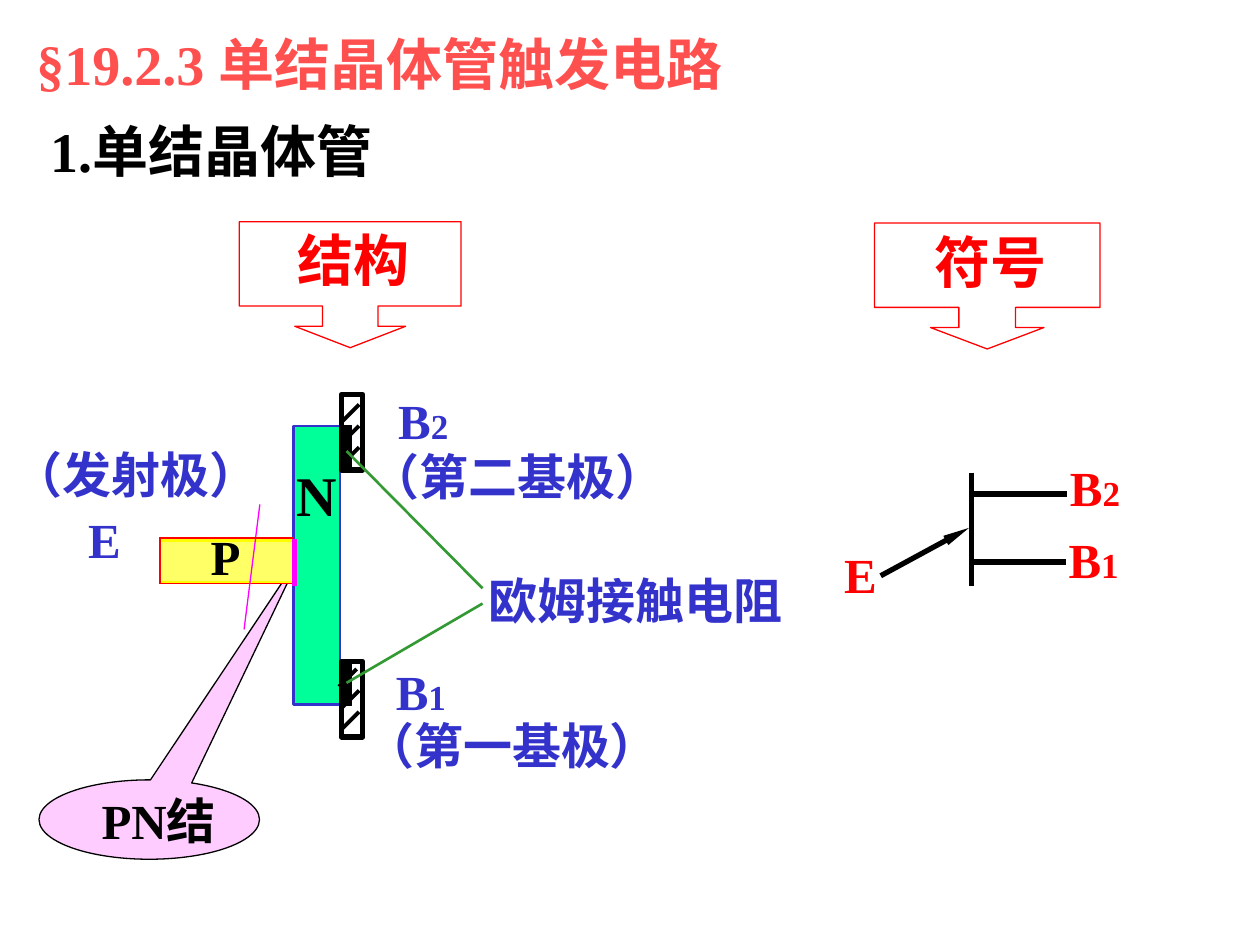
from typing import NamedTuple, Optional

from lxml import etree
from pptx import Presentation
from pptx.dml.color import RGBColor
from pptx.enum import shapes as sh, text as tx
from pptx.oxml import ns
from pptx.util import Inches, Pt

BLACK = RGBColor(0x00, 0x00, 0x00)
WHITE = RGBColor(0xFF, 0xFF, 0xFF)
RED = RGBColor(0xFF, 0x00, 0x00)
CORAL = RGBColor(0xFF, 0x50, 0x50)
BLUE = RGBColor(0x33, 0x33, 0xCC)
GREEN = RGBColor(0x33, 0x99, 0x33)
MINT = RGBColor(0x00, 0xFF, 0x99)
LEMON = RGBColor(0xFF, 0xFF, 0x66)
YELLOW = RGBColor(0xFF, 0xFF, 0x00)
PINK = RGBColor(0xFF, 0xCC, 0xFF)
MAGENTA = RGBColor(0xFF, 0x00, 0xFF)
FONT = "Times New Roman"
KIND = sh.MSO_SHAPE


class Label(NamedTuple):
    text: str
    x: float
    y: float
    w: float
    ink: RGBColor
    size: int = 28
    sub: str = ""
    left: bool = False


class Block(NamedTuple):
    x: float
    y: float
    w: float
    h: float
    fill: RGBColor
    ink: RGBColor
    width: float = 0.75
    kind: sh.MSO_SHAPE = KIND.RECTANGLE
    adj: tuple = ()


class Wire(NamedTuple):
    x1: float
    y1: float
    x2: float
    y2: float
    ink: RGBColor
    width: float
    arrow: bool = False


def paint(shape, fill: RGBColor, ink: RGBColor, width: float) -> None:
    shape.shadow.inherit = False
    shape.fill.solid()
    shape.fill.fore_color.rgb = fill
    shape.line.color.rgb = ink
    shape.line.width = Pt(width)


def write(slide, item: Label) -> None:
    high = 0.64 if item.size == 32 else 0.57
    box = slide.shapes.add_textbox(Inches(item.x), Inches(item.y), Inches(item.w), Inches(high))
    frame = box.text_frame
    frame.text = item.text
    frame.word_wrap = item.left
    frame.auto_size = tx.MSO_AUTO_SIZE.SHAPE_TO_FIT_TEXT
    frame.vertical_anchor = tx.MSO_ANCHOR.MIDDLE
    para = frame.paragraphs[0]
    para.alignment = tx.PP_ALIGN.LEFT if item.left else tx.PP_ALIGN.CENTER
    if item.sub:
        para.add_run().text = item.sub
    for run, size in zip(para.runs, (item.size, 20)):
        run.font.name = FONT
        run.font.size = Pt(size)
        run.font.bold = True
        run.font.color.rgb = item.ink


def block(slide, item: Block) -> None:
    shape = slide.shapes.add_shape(
        item.kind, Inches(item.x), Inches(item.y), Inches(item.w), Inches(item.h))
    for i, value in enumerate(item.adj):
        shape.adjustments[i] = value
    paint(shape, item.fill, item.ink, item.width)


def wire(slide, item: Wire) -> None:
    line = slide.shapes.add_connector(
        sh.MSO_CONNECTOR.STRAIGHT,
        Inches(item.x1), Inches(item.y1), Inches(item.x2), Inches(item.y2))
    line.line.color.rgb = item.ink
    line.line.width = Pt(item.width)
    if item.arrow:
        etree.SubElement(line.line._ln, ns.qn("a:tailEnd"), type="triangle", w="sm", len="lg")
    etree.SubElement(line._element.spPr, ns.qn("a:effectLst"))


def bend(points: list, steps: int = 12) -> list:
    curve = []
    for i in range(1, steps + 1):
        t = i / steps
        parts = ((1 - t) ** 3, 3 * t * (1 - t) ** 2, 3 * t * t * (1 - t), t ** 3)
        curve.append(tuple(sum(k * p[axis] for k, p in zip(parts, points)) for axis in (0, 1)))
    return curve


def bulge(slide) -> None:
    start, tip, end = (2.31, 4.64), (2.45, 4.45), (2.33, 4.27)
    curve = bend([start, (2.38, 4.57), (2.45, 4.51), tip])
    curve += bend([tip, (2.46, 4.38), (2.35, 4.3), end])
    pen = slide.shapes.build_freeform(*start, scale=Inches(1))
    pen.add_line_segments(curve, close=False)
    shape = pen.convert_to_shape()
    shape.rotation = 7.2
    paint(shape, MAGENTA, MAGENTA, 0.75)


def hatch(x: float, y: float) -> Wire:
    return Wire(x + 0.14, y, x, y + 0.14, BLACK, 2.25)


def draw(slide, items: list) -> None:
    tools = {Label: write, Block: block, Wire: wire}
    for item in items:
        tools[type(item)](slide, item)


def arrow(x: float, y: float, w: float, head: float) -> Block:
    return Block(x, y, w, 1, WHITE, RED, 0.75, KIND.DOWN_ARROW_CALLOUT, (head, head, 0.17, 0.67))


def main() -> None:
    deck = Presentation()
    deck.slide_width, deck.slide_height = Inches(10), Inches(7.5)
    slide = deck.slides.add_slide(deck.slide_layouts[6])

    draw(slide, [
        Label("§19.2.3 单结晶体管触发电路", 0.19, 0.18, 6.02, CORAL, 32, left=True),
        Label("1.单结晶体管", 0.3, 0.87, 2.99, BLACK, 32, left=True),
        arrow(1.9, 1.76, 1.76, 0.44),
        Label("结构", 2.11, 1.74, 1.4, RED, 32),
        Block(0.31, 6.19, 1.75, 0.63, PINK, BLACK, 0.75, KIND.OVAL_CALLOUT, (0.69, -3.35)),
        Label("PN结", 0.66, 6.22, 1.2, BLACK),
        Label("E", 0.6, 3.99, 0.46, BLUE),
        Label("（发射极）", 0.01, 3.48, 2.14, BLUE),
        Label("B", 3.06, 3.05, 0.6, BLUE, sub="2"),
        Label("（第二基极）", 2.84, 3.49, 2.53, BLUE),
        Label("B", 3.04, 5.2, 0.6, BLUE, sub="1"),
        Label("（第一基极）", 2.8, 5.63, 2.53, BLUE),
        Block(2.33, 3.38, 0.37, 2.21, MINT, BLUE, 1.5),
        Block(1.27, 4.29, 1.06, 0.33, LEMON, YELLOW, 1.5),
        Wire(1.26, 4.63, 2.32, 4.63, RED, 0.75),
        Wire(1.27, 4.26, 1.27, 4.63, RED, 0.75),
    ])
    bulge(slide)
    draw(slide, [Block(2.71, y, 0.17, 0.6, WHITE, BLACK, 3) for y in (3.13, 5.25)])
    draw(slide, [hatch(2.71, 3.21 + 0.17 * i) for i in range(3)])
    draw(slide, [hatch(x, 5.31 + 0.17 * i) for i, x in enumerate((2.69, 2.71, 2.71))])
    draw(slide, [
        Label("P", 1.57, 4.13, 0.44, BLACK),
        Label("N", 2.22, 3.6, 0.58, BLACK, 32),
        Wire(2.34, 4.28, 2.34, 4.65, MAGENTA, 3),
        Wire(2.33, 4.27, 1.27, 4.27, RED, 0.75),
    ])
    draw(slide, [Block(2.71, y, 0.08, 0.33, BLACK, BLACK) for y in (3.38, 5.27)])
    draw(slide, [
        Wire(2.75, 3.58, 3.83, 4.67, GREEN, 1.5),
        Wire(2.75, 5.42, 3.83, 4.79, GREEN, 1.5),
        Label("欧姆接触电阻", 3.78, 4.48, 2.53, BLUE),
        arrow(6.94, 1.77, 1.79, 0.45),
        Label("符号", 7.32, 1.75, 1.09, RED, 32),
        Wire(7.71, 3.75, 7.71, 4.65, BLACK, 3),
        Label("E", 6.6, 4.27, 0.46, RED),
        Label("B", 8.39, 3.58, 0.6, RED, sub="2"),
        Label("B", 8.38, 4.15, 0.6, RED, sub="1"),
        Wire(7.71, 3.92, 8.47, 3.92, BLACK, 3),
        Wire(7.7, 4.46, 8.46, 4.46, BLACK, 3),
        Wire(6.99, 4.57, 7.69, 4.19, BLACK, 3, arrow=True),
    ])
    deck.save("out.pptx")


if __name__ == "__main__":
    main()
